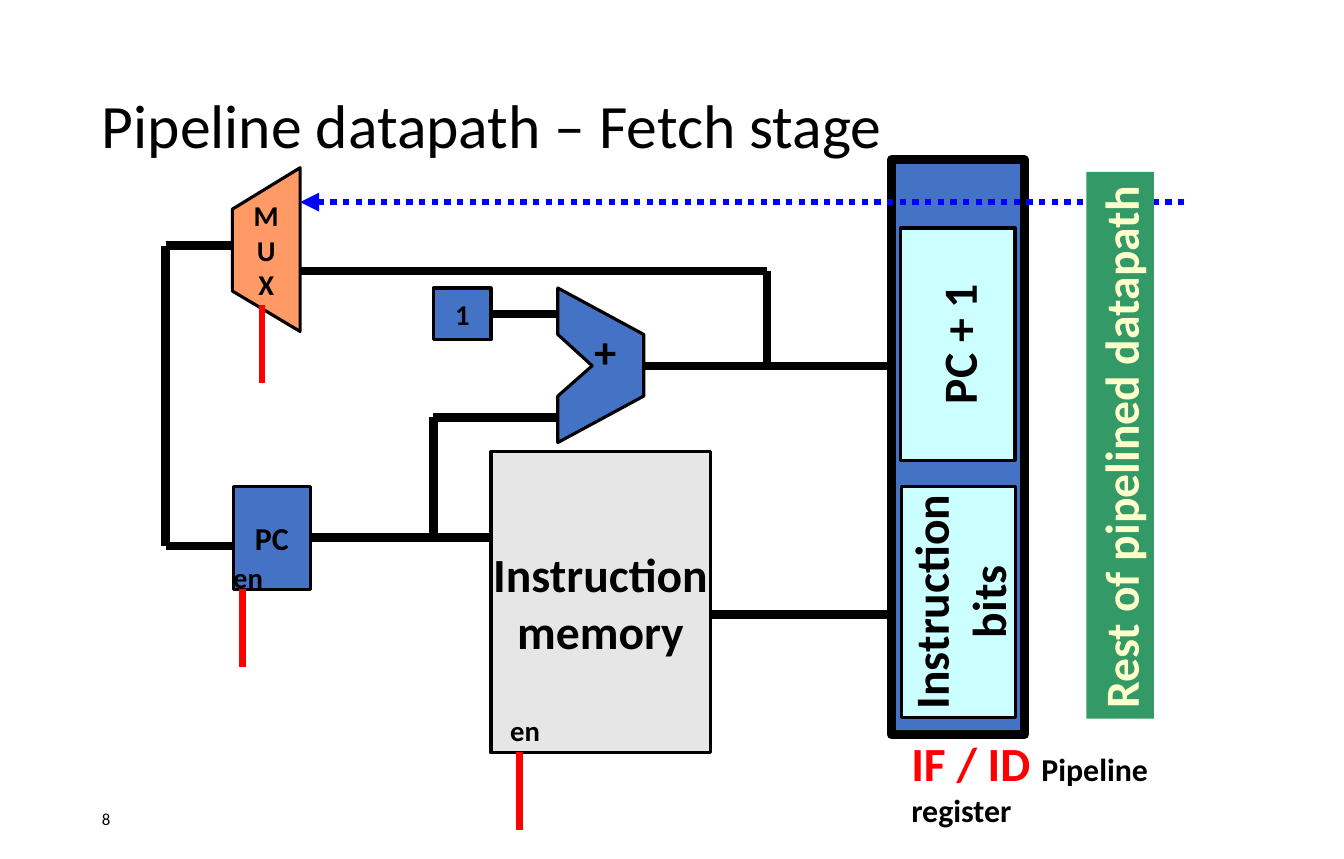
from dataclasses import dataclass
from typing import NamedTuple

from lxml.etree import SubElement
from pptx import Presentation
from pptx.dml.color import RGBColor
from pptx.enum.dml import MSO_LINE
from pptx.enum.shapes import MSO_CONNECTOR, MSO_SHAPE
from pptx.enum.text import MSO_ANCHOR, PP_ALIGN
from pptx.oxml.ns import qn
from pptx.util import Inches, Pt

FONT = "Calibri"
COLORS = {
    "black": "000000", "red": "FF0000", "blue": "4472C4", "bus": "0000FF",
    "cyan": "CCFFFF", "gray": "E7E6E6", "orange": "FF9966",
    "green": "339966", "cream": "FFFFCC",
}
LARGE, MEDIUM, SMALL = 33.9, 22.7, 20.4


class Run(NamedTuple):
    text: str
    size: float
    color: str = "black"
    bold: bool = True


@dataclass
class Block:
    left: float
    top: float
    width: float
    height: float
    fill: str
    lines: tuple[Run, ...] = ()
    border: float = 2.25
    rotation: int = 0
    centered: bool = True


@dataclass
class Label:
    left: float
    top: float
    width: float
    height: float
    runs: tuple[Run, ...]
    wrap: bool = False
    anchor: MSO_ANCHOR = MSO_ANCHOR.TOP
    line_spacing: float = 1.0


@dataclass
class Outline:
    points: tuple[tuple[float, float], ...]
    fill: str
    lines: tuple[Run, ...] = ()


class Wire(NamedTuple):
    x1: float
    y1: float
    x2: float
    y2: float
    color: str = "black"
    width: float = 6


def rgb(name: str) -> RGBColor:
    return RGBColor.from_string(COLORS[name])


def add_run(p, run: Run) -> None:
    r = p.add_run()
    r.text = run.text
    r.font.name, r.font.size, r.font.bold = FONT, Pt(run.size), run.bold
    r.font.color.rgb = rgb(run.color)


def style(sp, fill: str, border: float) -> None:
    sp.shadow.inherit = False
    sp.fill.solid()
    sp.fill.fore_color.rgb = rgb(fill)
    if border:
        sp.line.color.rgb = rgb("black")
        sp.line.width = Pt(border)
    else:
        sp.line.fill.background()


def write_lines(sp, lines: tuple[Run, ...], centered: bool = True) -> None:
    tf = sp.text_frame
    tf.word_wrap = False
    tf.vertical_anchor = MSO_ANCHOR.MIDDLE if centered else MSO_ANCHOR.TOP
    for i, run in enumerate(lines):
        p = tf.add_paragraph() if i else tf.paragraphs[0]
        p.alignment = PP_ALIGN.CENTER if centered else PP_ALIGN.LEFT
        add_run(p, run)


def draw_block(s, b: Block) -> None:
    sp = s.shapes.add_shape(MSO_SHAPE.RECTANGLE, Inches(b.left), Inches(b.top),
                            Inches(b.width), Inches(b.height))
    sp.rotation = b.rotation
    style(sp, b.fill, b.border)
    write_lines(sp, b.lines, b.centered)


def draw_outline(s, o: Outline) -> None:
    start, *rest = [(Inches(x), Inches(y)) for x, y in o.points]
    builder = s.shapes.build_freeform(*start)
    builder.add_line_segments(rest, close=True)
    sp = builder.convert_to_shape()
    style(sp, o.fill, 2.25)
    write_lines(sp, o.lines)


def draw_label(s, label: Label) -> None:
    sp = s.shapes.add_textbox(Inches(label.left), Inches(label.top),
                              Inches(label.width), Inches(label.height))
    tf = sp.text_frame
    tf.word_wrap = label.wrap
    tf.vertical_anchor = label.anchor
    p = tf.paragraphs[0]
    p.line_spacing = label.line_spacing
    for run in label.runs:
        add_run(p, run)


def draw_wire(s, w: Wire):
    c = s.shapes.add_connector(MSO_CONNECTOR.STRAIGHT, Inches(w.x1), Inches(w.y1),
                               Inches(w.x2), Inches(w.y2))
    c.line.color.rgb = rgb(w.color)
    c.line.width = Pt(w.width)
    SubElement(c._element.spPr, qn("a:effectLst"))
    return c


BLOCKS = [
    Block(8.82, 1.58, 1.32, 5.69, "blue", border=6),
    Block(8.34, 5.39, 2.29, 1.13, "cyan",
          (Run("Instruction", LARGE), Run("bits", LARGE)), rotation=270),
    Block(2.31, 4.81, 0.76, 1.02, "blue", (Run("PC", MEDIUM),)),
    Block(4.86, 4.47, 2.17, 2.98, "gray",
          (Run("Instruction", LARGE), Run("memory", LARGE))),
    Block(4.29, 2.85, 0.57, 0.51, "blue", (Run("1", SMALL),)),
]
ADDER = Outline(((5.52, 2.85), (6.37, 3.31), (6.37, 3.92), (5.52, 4.38),
                 (5.52, 3.92), (5.86, 3.62), (5.52, 3.31)), "blue")
MUX = Outline(((2.97, 3.28), (2.3, 2.88), (2.3, 2.07), (2.97, 1.66)), "orange",
              tuple(Run(letter, SMALL) for letter in "MUX"))
WIRES = [
    # Memory to register, PC to memory
    Wire(7.03, 6.08, 8.82, 6.08),
    Wire(3.06, 5.32, 4.86, 5.32),
    # Adder inputs and output
    Wire(4.86, 3.11, 5.52, 3.11),
    Wire(4.29, 4.13, 5.52, 4.13),
    Wire(4.29, 5.32, 4.29, 4.13),
    Wire(6.37, 3.62, 7.59, 3.62),
    Wire(7.59, 3.62, 8.82, 3.62),
    # Adder back to mux
    Wire(7.59, 3.62, 7.59, 2.68),
    Wire(2.97, 2.68, 7.59, 2.68),
    # Mux to PC
    Wire(1.64, 2.43, 2.31, 2.43),
    Wire(1.64, 5.4, 1.64, 2.43),
    Wire(1.64, 5.4, 2.31, 5.4),
]
# Control inputs of PC, memory and mux
WIRES += [Wire(x, y, x, y + 0.77, "red", 4.5)
          for x, y in ((2.4, 5.83), (5.14, 7.44), (2.59, 3.02))]
BUS = Wire(2.97, 2, 11.75, 2, "bus", 4.5)
FRONT_BLOCKS = [
    Block(8.38, 4.07, 5.41, 0.67, "green",
          (Run("Rest of pipelined datapath", LARGE, "cream"),),
          border=0, rotation=270, centered=False),
    Block(8.33, 2.84, 2.3, 1.13, "cyan", (Run("PC + 1", LARGE),), rotation=270),
]
LABELS = [
    Label(0.91, 0.45, 11.47, 1.64,
          (Run("Pipeline datapath – Fetch stage", 43.9, bold=False),),
          True, MSO_ANCHOR.MIDDLE, 0.9),
    Label(0.91, 7.88, 2.99, 0.45, (Run("8", 12, bold=False),), True, MSO_ANCHOR.MIDDLE),
    Label(8.92, 7.21, 3.4, 1.05,
          (Run("IF / ID ", LARGE, "red"), Run("Pipeline register", MEDIUM)), True),
    Label(2.21, 5.49, 0.5, 0.44, (Run("en", SMALL),)),
    Label(4.95, 7.01, 0.5, 0.44, (Run("en", SMALL),)),
    Label(5.78, 3.16, 0.42, 0.63, (Run("+", 31.7),)),
]


def main() -> None:
    prs = Presentation()
    prs.slide_width, prs.slide_height = Inches(13.3), Inches(8.5)
    s = prs.slides.add_slide(prs.slide_layouts[6])

    # Datapath units
    for block in BLOCKS:
        draw_block(s, block)
    for outline in (ADDER, MUX):
        draw_outline(s, outline)

    # Wires and the dotted branch target bus
    for wire in WIRES:
        draw_wire(s, wire)
    bus = draw_wire(s, BUS)
    bus.line.dash_style = MSO_LINE.ROUND_DOT
    SubElement(bus.line._get_or_add_ln(), qn("a:headEnd"), type="triangle")

    # Parts in front of the bus, then text
    for block in FRONT_BLOCKS:
        draw_block(s, block)
    for label in LABELS:
        draw_label(s, label)

    prs.save("out.pptx")


if __name__ == "__main__":
    main()
